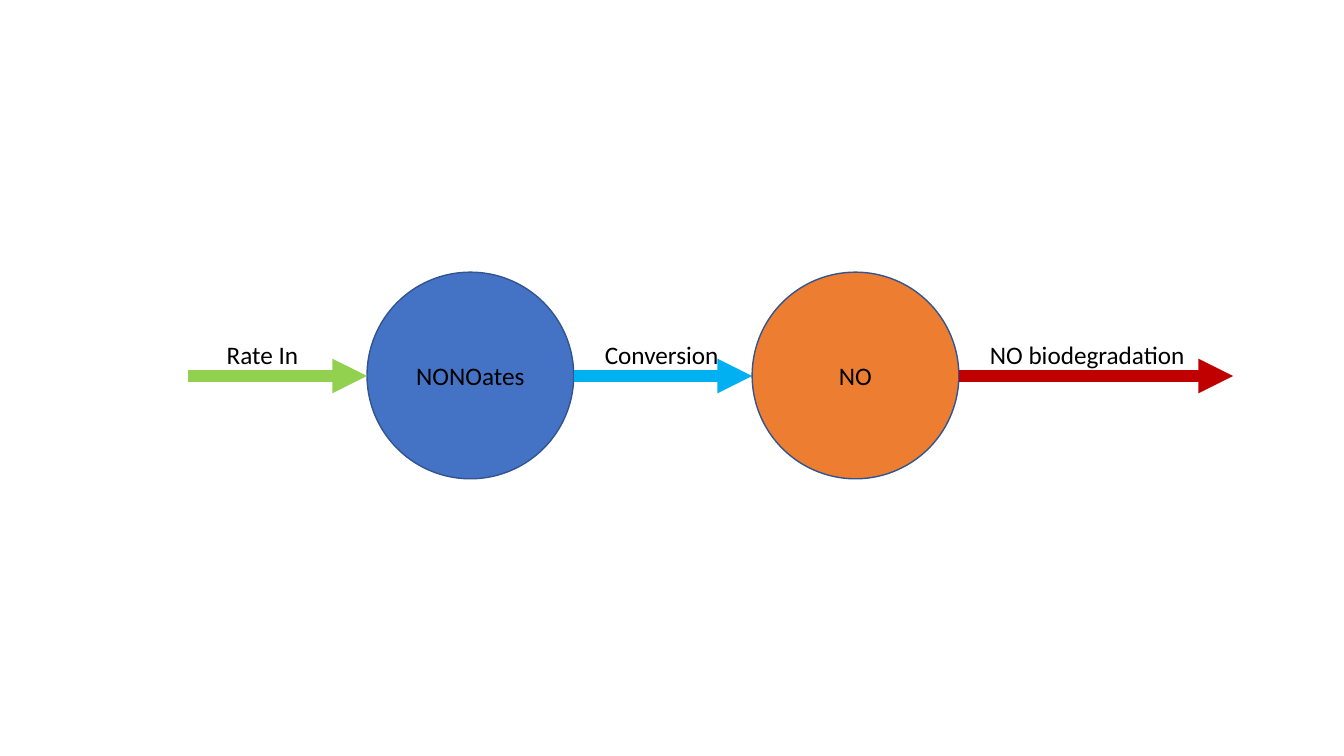
from lxml.etree import SubElement
from pptx import Presentation
from pptx.dml.color import RGBColor
from pptx.enum.shapes import MSO_CONNECTOR, MSO_SHAPE
from pptx.enum.text import MSO_ANCHOR, MSO_AUTO_SIZE, PP_ALIGN
from pptx.oxml.ns import qn
from pptx.util import Inches, Pt

SIZE = 2.05
AXIS = 3.73


def paint(color, value):
    """Set a colour from a hex string."""
    color.rgb = RGBColor.from_string(value)


def write(frame, text, align):
    """Put one styled paragraph in a text frame."""
    para = frame.paragraphs[0]
    para.text = text
    para.alignment = align
    para.font.name = "Calibri"
    para.font.size = Pt(18)
    paint(para.font.color, "000000")


def add_pool(slide, left, text, fill):
    """Draw a circle that stands for a compartment."""
    pool = slide.shapes.add_shape(
        MSO_SHAPE.OVAL, Inches(left), Inches(2.7), Inches(SIZE), Inches(SIZE))
    pool.shadow.inherit = False
    pool.fill.solid()
    paint(pool.fill.fore_color, fill)
    paint(pool.line.color, "325491")
    pool.line.width = Pt(1)
    pool.text_frame.vertical_anchor = MSO_ANCHOR.MIDDLE
    write(pool.text_frame, text, PP_ALIGN.CENTER)


def add_flow(slide, start, end, color):
    """Draw a thick arrow along the axis."""
    flow = slide.shapes.add_connector(
        MSO_CONNECTOR.STRAIGHT, Inches(start), Inches(AXIS), Inches(end), Inches(AXIS))
    paint(flow.line.color, color)
    flow.line.width = Pt(8.25)
    SubElement(flow.line._get_or_add_ln(), qn("a:tailEnd"), type="triangle")
    SubElement(flow._element.spPr, qn("a:effectLst"))


def add_label(slide, left, width, text):
    """Write the name of a flow above its arrow."""
    label = slide.shapes.add_textbox(
        Inches(left), Inches(3.32), Inches(width), Inches(0.4))
    frame = label.text_frame
    frame.word_wrap = False
    frame.auto_size = MSO_AUTO_SIZE.SHAPE_TO_FIT_TEXT
    write(frame, text, PP_ALIGN.LEFT)


def main():
    """Build the compartment model slide."""
    deck = Presentation()
    deck.slide_width = Inches(13.33)
    deck.slide_height = Inches(7.5)
    slide = deck.slides.add_slide(deck.slide_layouts[6])
    donor, oxide = 3.64, 7.46
    add_pool(slide, donor, "NONOates", "4472C4")
    add_flow(slide, 1.86, donor, "92D050")
    add_label(slide, 2.15, 0.92, "Rate In")
    add_flow(slide, donor + SIZE, oxide, "00B0F0")
    add_pool(slide, oxide, "NO", "ED7D31")
    add_label(slide, 5.9, 1.34, "Conversion")
    add_flow(slide, oxide + SIZE, 12.23, "C00000")
    add_label(slide, 9.72, 2.16, "NO biodegradation")
    deck.save("out.pptx")


main()
